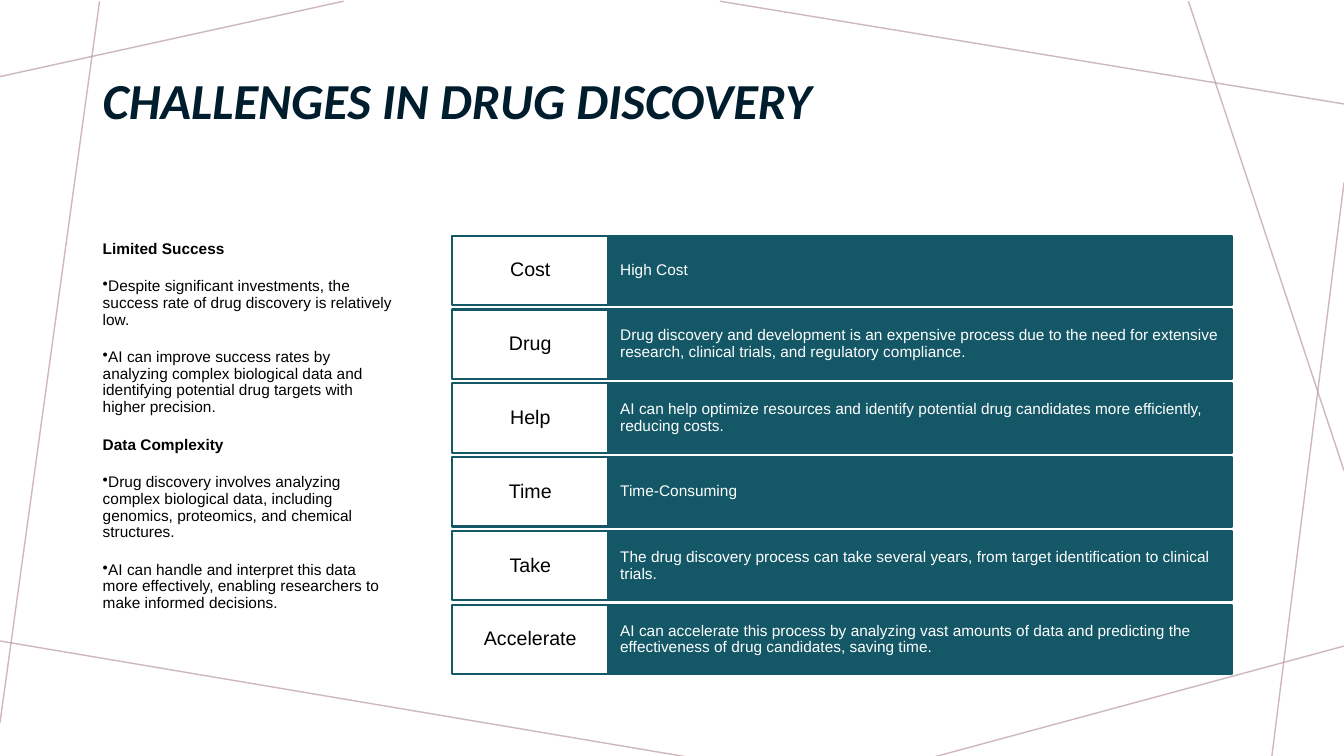
"""Build the slide on challenges in drug discovery."""
from lxml import etree
from pptx import Presentation
from pptx import util as u
from pptx.dml.color import RGBColor
from pptx.enum import shapes, text
from pptx.oxml.ns import qn

TITLE = "CHALLENGES IN DRUG DISCOVERY"
TOPICS = [
    ("Limited Success", [
        "Despite significant investments, the success rate of drug discovery is relatively low.",
        "AI can improve success rates by analyzing complex biological data and identifying potential drug targets with higher precision.",
    ]),
    ("Data Complexity", [
        "Drug discovery involves analyzing complex biological data, including genomics, proteomics, and chemical structures.",
        "AI can handle and interpret this data more effectively, enabling researchers to make informed decisions.",
    ]),
]
ROWS = [
    ("Cost", "High Cost"),
    ("Drug", "Drug discovery and development is an expensive process due to the need for extensive research, clinical trials, and regulatory compliance."),
    ("Help", "AI can help optimize resources and identify potential drug candidates more efficiently, reducing costs."),
    ("Time", "Time-Consuming"),
    ("Take", "The drug discovery process can take several years, from target identification to clinical trials."),
    ("Accelerate", "AI can accelerate this process by analyzing vast amounts of data and predicting the effectiveness of drug candidates, saving time."),
]
WIDTH, HEIGHT = 33.87, 19.05
BACK_LINES = [
    (8.66, 0.03, 0, 1.93),
    (2.51, 0.03, 0, 18.21),
    (17.35, 19.08, -0.13, 16.13),
    (WIDTH, 16.28, 23.52, 19.08),
    (WIDTH, 4.6, 32.05, 19.08),
    (WIDTH, 11.86, 29.95, 0.03),
    (WIDTH, 2.62, 18.14, 0.03),
]
THEME = {
    "title": "001D2E", "teal": "145766", "white": "FFFFFF", "black": "000000", "rose": "B99B9F",
    "title_size": 36, "label_size": 14, "body_size": 11,
    "title_font": "Calibri", "body_font": "Arial",
}
LEFT, TOP = 2.34, 5.94
LABEL_X, LABEL_W, DETAIL_W = 11.4, 3.93, 15.71
ROW_H, ROW_STEP = 1.75, 1.86


def color(name):
    return RGBColor.from_string(THEME[name])


def write(p, words, size="body_size", font="body_font", fill="black", bold=False,
          italic=False, align=text.PP_ALIGN.LEFT, before=0, after=0, bullet=False):
    p.alignment, p.line_spacing = align, 0.9
    p.space_before, p.space_after = u.Pt(before), u.Pt(after)
    if bullet:
        pPr = p._p.get_or_add_pPr()
        pPr.set("marL", "0")
        pPr.set("indent", "0")
        etree.SubElement(pPr, qn("a:buChar"), char="•")
    r = p.add_run()
    r.text = words
    r.font.name, r.font.size = THEME[font], u.Pt(THEME[size])
    r.font.bold, r.font.italic = bold, italic
    r.font.color.rgb = color(fill)


def set_frame(tf, anchor, side=0.25, bottom=0.13):
    tf.word_wrap, tf.vertical_anchor = True, anchor
    tf.margin_left = tf.margin_right = u.Cm(side)
    tf.margin_top, tf.margin_bottom = u.Cm(0.13), u.Cm(bottom)


def add_back_line(s, ends):
    sp = s.shapes.add_connector(shapes.MSO_CONNECTOR.STRAIGHT, *map(u.Cm, ends))
    sp.line.width, sp.line.color.rgb = u.Pt(1), color("rose")
    rgb = sp._element.spPr.find(".//" + qn("a:srgbClr"))
    etree.SubElement(rgb, qn("a:alpha"), val="70000")
    etree.SubElement(sp._element.spPr, qn("a:effectLst"))


def add_cell(s, x, y, w, words, back, side, **style):
    sp = s.shapes.add_shape(shapes.MSO_SHAPE.RECTANGLE, u.Cm(x), u.Cm(y), u.Cm(w), u.Cm(ROW_H))
    sp.shadow.inherit = False
    sp.fill.solid()
    sp.fill.fore_color.rgb = color(back)
    sp.line.width, sp.line.color.rgb = u.Pt(1.5), color("teal")
    set_frame(sp.text_frame, text.MSO_ANCHOR.MIDDLE, side)
    write(sp.text_frame.paragraphs[0], words, **style)


def main():
    prs = Presentation()
    prs.slide_width, prs.slide_height = u.Cm(WIDTH), u.Cm(HEIGHT)
    s = prs.slides.add_slide(prs.slide_layouts[6])
    for ends in BACK_LINES:
        add_back_line(s, ends)

    tf = s.shapes.add_textbox(u.Cm(LEFT), u.Cm(1.02), u.Cm(28.7), u.Cm(3.68)).text_frame
    set_frame(tf, text.MSO_ANCHOR.BOTTOM, bottom=1.6)
    write(tf.paragraphs[0], TITLE, size="title_size", font="title_font", fill="title",
          bold=True, italic=True)

    tf = s.shapes.add_textbox(u.Cm(LEFT), u.Cm(TOP), u.Cm(7.82), u.Cm(11.07)).text_frame
    set_frame(tf, text.MSO_ANCHOR.TOP)
    for i, (heading, points) in enumerate(TOPICS):
        p = tf.add_paragraph() if i else tf.paragraphs[0]
        write(p, heading, bold=True, before=10, after=5)
        for point in points:
            write(tf.add_paragraph(), point, before=10, after=5, bullet=True)

    for i, (label, detail) in enumerate(ROWS):
        y = TOP + i * ROW_STEP
        add_cell(s, LABEL_X + LABEL_W, y, DETAIL_W, detail, "teal", 0.3, fill="white")
        add_cell(s, LABEL_X, y, LABEL_W, label, "white", 0.2,
                 size="label_size", align=text.PP_ALIGN.CENTER)
    prs.save("out.pptx")


if __name__ == "__main__":
    main()
